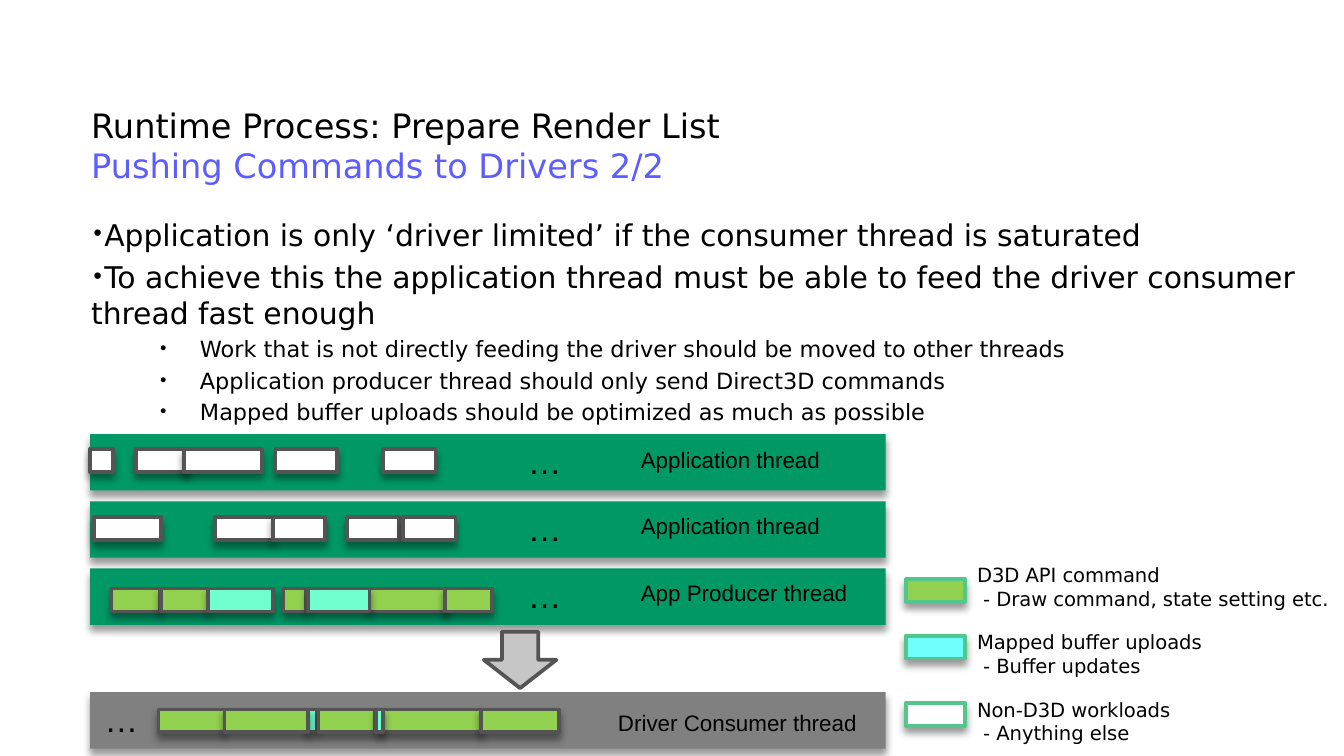
from copy import deepcopy

from lxml.etree import SubElement
from pptx import Presentation
from pptx.dml.color import RGBColor as Rgb
from pptx.enum.shapes import MSO_SHAPE as Kind
from pptx.oxml.ns import qn
from pptx.util import Inches, Pt

HUES = {
    "black": "000000", "title": "5C5CFF", "app": "009966", "driver": "808080",
    "call": "92D050", "map": "70FFCF", "upload": "70FFFF", "other": "FFFFFF",
    "edge": "545454", "rim": "53C68C", "arrow": "C6C6C6",
}


def hue(name):
    return Rgb.from_string(HUES[name])


def text(slide, box, items, size=12, font="Arial", color="black", pads=(0.1, 0.05, 0.1, 0.05)):
    frame = slide.shapes.add_textbox(*map(Inches, box)).text_frame
    frame.word_wrap = True
    frame.margin_left, frame.margin_top, frame.margin_right, frame.margin_bottom = map(Inches, pads)
    for i, item in enumerate(items):
        para = frame.paragraphs[0] if i == 0 else frame.add_paragraph()
        for j, line in enumerate(item.split("\n")):
            if j:
                para.add_line_break()
                para._p[-1].append(deepcopy(run.font._element))
            run = para.add_run()
            run.text = line
            run.font.size, run.font.name = Pt(size), font
            run.font.color.rgb = hue(color)
    return frame


def bullet(para, left, hang):
    props = para._p.get_or_add_pPr()
    props.set("marL", str(Inches(left)))
    props.set("indent", str(Inches(-hang)))
    SubElement(props, qn("a:buSzPct"), val="75000")
    SubElement(props, qn("a:buFont"), typeface="DejaVu Sans")
    SubElement(props, qn("a:buChar"), char="•")


def shade(shape):
    effects = SubElement(shape._element.spPr, qn("a:effectLst"))
    outer = SubElement(effects, qn("a:outerShdw"), blurRad=str(Pt(4)), dist=str(Pt(3)),
                       dir="5400000", algn="ctr", rotWithShape="0")
    color = SubElement(outer, qn("a:srgbClr"), val=HUES["black"])
    SubElement(color, qn("a:alpha"), val="40000")


def block(slide, box, fill, edge=None, kind=Kind.RECTANGLE, cast=True):
    shape = slide.shapes.add_shape(kind, *map(Inches, box))
    shape.fill.solid()
    shape.fill.fore_color.rgb = hue(fill)
    if edge:
        shape.line.color.rgb = hue(edge)
        shape.line.width = Pt(2)
    else:
        shape.line.fill.background()
    if cast:
        shade(shape)
    else:
        shape.shadow.inherit = False


def title(slide, box):
    frame = text(slide, box, ["Runtime Process: Prepare Render List\nPushing Commands to Drivers 2/2"],
                 size=18, font="DejaVu Sans")
    frame.paragraphs[0].runs[1].font.color.rgb = hue("title")


def body(slide, box):
    points = [
        (0, "Application is only ‘driver limited’ if the consumer thread is saturated"),
        (0, "To achieve this the application thread must be able to feed the driver consumer thread fast enough"),
        (1, "Work that is not directly feeding the driver should be moved to other threads"),
        (1, "Application producer thread should only send Direct3D commands"),
        (1, "Mapped buffer uploads should be optimized as much as possible"),
    ]
    frame = text(slide, box, [words for _, words in points], size=16, font="DejaVu Sans")
    for para, (level, _) in zip(frame.paragraphs, points):
        para.level = level
        para.space_before = Pt(2.5 if level else 3.7)
        if level:
            para.runs[0].font.size = Pt(12)
        bullet(para, *((0.81, 0.31) if level else (0, 0)))


def track(slide, box, name, fill, bars, drop, spot, dots=3.16):
    left, top, _, high = box
    block(slide, box, fill)
    for x, wide, tone in bars:
        block(slide, (left + x, top + drop, wide, 0.17), tone, "edge")
    text(slide, (left + dots, top, 0.6, high), ["…"], size=18)
    text(slide, (left + spot[0], top + spot[1], 2, 0.3), [name])


def legend(slide, box):
    left, top, wide, high = box
    items = [
        ("D3D API command\n - Draw command, state setting etc.", "call", 0.12),
        ("Mapped buffer uploads\n - Buffer updates", "upload", 0.54),
        ("Non-D3D workloads\n - Anything else", "other", 1.04),
    ]
    frame = text(slide, (left + 0.49, top, wide - 0.49, high), [words for words, _, _ in items],
                 size=10.5, font="DejaVu Sans", pads=(0.04, 0, 0, 0))
    for para in frame.paragraphs:
        para.space_before = para.space_after = Pt(5.4)
    for _, tone, drop in items:
        block(slide, (left, top + drop, 0.44, 0.17), tone, "rim")


def main():
    deck = Presentation()
    deck.slide_width, deck.slide_height = Inches(10), Inches(10) * 9 // 16
    slide = deck.slides.add_slide(deck.slide_layouts[6])
    title(slide, (0.58, 0.73, 9.08, 0.67))
    body(slide, (0.58, 1.56, 9.17, 1.67))

    first = [(x, w, "other") for x, w in
             [(0, 0.17), (0.34, 0.39), (0.7, 0.58), (1.38, 0.46), (2.18, 0.39)]]
    second = [(x, w, "other") for x, w in
              [(0.03, 0.5), (0.93, 0.43), (1.36, 0.39), (1.91, 0.39), (2.33, 0.39)]]
    feed = [(0.16, 0.36, "call"), (0.53, 0.35, "call"), (1.44, 0.17, "call"),
            (2.08, 0.58, "call"), (0.88, 0.48, "map"), (1.62, 0.46, "map"),
            (2.64, 0.35, "call")]
    drain = [(0.51, 0.49, "call"), (1.62, 0.07, "map"), (2.16, 0.75, "call"),
             (1, 0.62, "call"), (1.7, 0.42, "call"), (2.91, 0.58, "call"),
             (2.13, 0.05, "map")]
    rows = [("Application thread", first, 0.11, 0.04),
            ("Application thread", second, 0.12, 0.03),
            ("App Producer thread", feed, 0.15, 0.03)]
    for i, (name, bars, drop, dip) in enumerate(rows):
        track(slide, (0.67, 3.23 + i * 0.5, 5.92, 0.42), name, "app", bars, drop, (4, dip))
    block(slide, (3.6, 4.7, 0.54, 0.42), "arrow", "edge", kind=Kind.DOWN_ARROW, cast=False)
    track(slide, (0.67, 5.15, 5.92, 0.42), "Driver Consumer thread", "driver", drain, 0.13,
          (3.83, 0.08), dots=0.01)
    legend(slide, (6.74, 4.19, 3.26, 1.45))
    deck.save("out.pptx")


if __name__ == "__main__":
    main()
